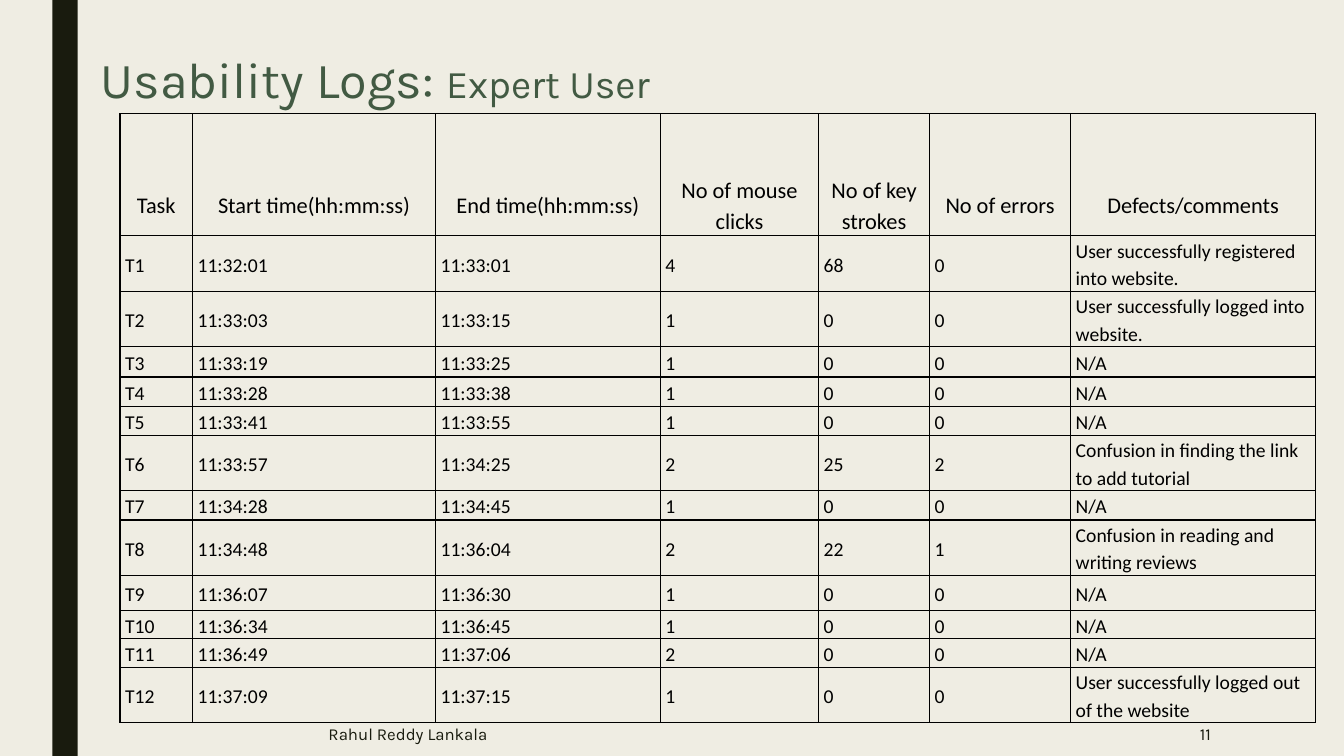
from dataclasses import dataclass

from lxml import etree
from pptx import Presentation
from pptx import util as u
from pptx.dml.color import RGBColor
from pptx.enum import shapes, text
from pptx.oxml.ns import qn


@dataclass(frozen=True)
class Theme:
    background: str = "EFEDE3"
    dark: str = "191B0E"
    green: str = "425A43"
    black: str = "000000"
    display_font: str = "Karla"
    table_font: str = "Calibri"
    title_size: int = 36
    subtitle_size: int = 28
    header_size: int = 16
    body_size: int = 14
    footer_size: int = 12


theme = Theme()


def add_text(paragraph, content, size, font=theme.display_font, color=theme.dark,
             align=text.PP_ALIGN.LEFT, spacing=1.0):
    paragraph.alignment = align
    paragraph.line_spacing = spacing
    run = paragraph.add_run()
    run.text = content
    run.font.size = u.Pt(size)
    run.font.name = font
    run.font.color.rgb = RGBColor.from_string(color)


presentation = Presentation()
presentation.slide_width = u.Inches(13.33)
presentation.slide_height = u.Inches(7.5)
slide = presentation.slides.add_slide(presentation.slide_layouts[5])
slide.background.fill.solid()
slide.background.fill.fore_color.rgb = RGBColor.from_string(theme.background)

side_bar = slide.shapes.add_shape(
    shapes.MSO_SHAPE.RECTANGLE, u.Inches(0.52), 0, u.Inches(0.25), u.Inches(7.5))
side_bar.shadow.inherit = False
side_bar.fill.solid()
side_bar.fill.fore_color.rgb = RGBColor.from_string(theme.dark)
side_bar.line.fill.background()

title = slide.shapes.title
title.left, title.top = u.Inches(0.9), u.Inches(0.43)
title.width, title.height = u.Inches(8.49), u.Inches(0.71)
title.text_frame.auto_size = text.MSO_AUTO_SIZE.NONE
title.text_frame.word_wrap = True
title.text_frame.vertical_anchor = text.MSO_ANCHOR.TOP
for content, size in (("Usability Logs: ", theme.title_size),
                      ("Expert User", theme.subtitle_size)):
    add_text(title.text_frame.paragraphs[0], content, size, color=theme.green)

log_rows = [
    ("Task", "Start time(hh:mm:ss)", "End time(hh:mm:ss)", "No of mouse clicks",
     "No of key strokes", "No of errors", "Defects/comments"),
    ("T1", "11:32:01", "11:33:01", "4", "68", "0",
     "User successfully registered into website."),
    ("T2", "11:33:03", "11:33:15", "1", "0", "0",
     "User successfully logged into website."),
    ("T3", "11:33:19", "11:33:25", "1", "0", "0", "N/A"),
    ("T4", "11:33:28", "11:33:38", "1", "0", "0", "N/A"),
    ("T5", "11:33:41", "11:33:55", "1", "0", "0", "N/A"),
    ("T6", "11:33:57", "11:34:25", "2", "25", "2",
     "Confusion in finding the link to add tutorial"),
    ("T7", "11:34:28", "11:34:45", "1", "0", "0", "N/A"),
    ("T8", "11:34:48", "11:36:04", "2", "22", "1",
     "Confusion in reading and writing reviews"),
    ("T9", "11:36:07", "11:36:30", "1", "0", "0", "N/A"),
    ("T10", "11:36:34", "11:36:45", "1", "0", "0", "N/A"),
    ("T11", "11:36:49", "11:37:06", "2", "0", "0", "N/A"),
    ("T12", "11:37:09", "11:37:15", "1", "0", "0",
     "User successfully logged out of the website"),
]
column_widths = [0.72, 2.41, 2.23, 1.57, 1.1, 1.4, 2.43]
row_heights = [1.21, 0.55, 0.55, 0.3, 0.29, 0.29, 0.55, 0.29, 0.55, 0.35, 0.27, 0.29, 0.55]

log_table = slide.shapes.add_table(
    len(log_rows), len(column_widths), u.Inches(1.19), u.Inches(1.13),
    u.Inches(sum(column_widths)), u.Inches(sum(row_heights))).table
log_table.first_row = False
log_table.horz_banding = False
for column, width in zip(log_table.columns, column_widths):
    column.width = u.Inches(width)
for row, height in zip(log_table.rows, row_heights):
    row.height = u.Inches(height)

for row_index, values in enumerate(log_rows):
    is_header = row_index == 0
    for column_index, value in enumerate(values):
        cell = log_table.cell(row_index, column_index)
        cell.margin_left = cell.margin_right = u.Inches(0.05)
        cell.margin_top = u.Inches(0.58 if is_header else 0)
        cell.margin_bottom = 0
        cell.vertical_anchor = text.MSO_ANCHOR.MIDDLE
        properties = cell._tc.get_or_add_tcPr()
        for side in ("a:lnL", "a:lnR", "a:lnT", "a:lnB"):
            border = etree.SubElement(properties, qn(side), w=str(u.Pt(1)))
            border_fill = etree.SubElement(border, qn("a:solidFill"))
            etree.SubElement(border_fill, qn("a:srgbClr"), val=theme.black)
        cell.fill.background()
        add_text(cell.text_frame.paragraphs[0], value,
                 theme.header_size if is_header else theme.body_size,
                 font=theme.table_font, color=theme.black, spacing=1.15,
                 align=text.PP_ALIGN.CENTER if is_header else text.PP_ALIGN.LEFT)

for content, left, width, align in (
        ("Rahul Reddy Lankala", 3.16, 6.87, text.PP_ALIGN.LEFT),
        ("11", 10.36, 1.75, text.PP_ALIGN.RIGHT)):
    footer = slide.shapes.add_textbox(
        u.Inches(left), u.Inches(7.06), u.Inches(width), u.Inches(0.44))
    footer.text_frame.word_wrap = True
    footer.text_frame.vertical_anchor = text.MSO_ANCHOR.MIDDLE
    add_text(footer.text_frame.paragraphs[0], content, theme.footer_size, align=align)

presentation.save("out.pptx")
